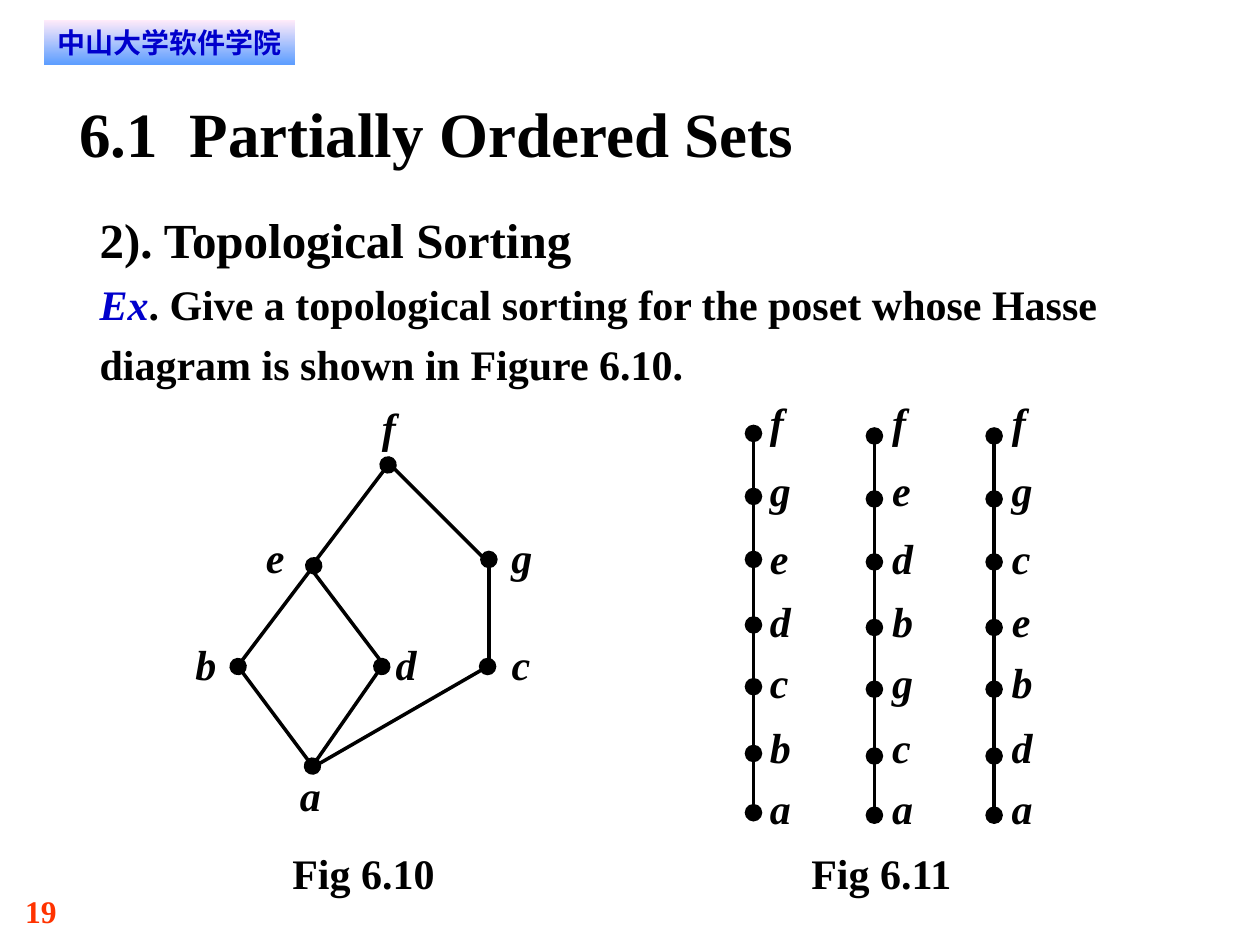
from lxml.etree import SubElement
from pptx import Presentation
from pptx.dml.color import RGBColor
from pptx.enum.shapes import MSO_CONNECTOR, MSO_SHAPE
from pptx.enum.text import MSO_ANCHOR, MSO_AUTO_SIZE, PP_ALIGN
from pptx.oxml.ns import qn
from pptx.util import Pt

PX = 9144
BLACK = RGBColor(0x00, 0x00, 0x00)
BLUE = RGBColor(0x00, 0x00, 0xCC)
RED = RGBColor(0xFF, 0x33, 0x00)
PALE_PINK = RGBColor(0xFF, 0xEB, 0xFA)
SKY_BLUE = RGBColor(0x5E, 0x9E, 0xFF)
SERIF = "Times New Roman"
SANS = "DejaVu Sans"

LETTER_WIDTHS = {"f": 11, "c": 15, "e": 15}
HASSE_LABELS = [
    ("b", 0, 188), ("a", 83, 292), ("d", 159, 188), ("c", 251, 188),
    ("g", 251, 103), ("e", 56, 103), ("f", 148, 0),
]
HASSE_EDGES = [
    ((90, 130), (149, 208), False, False),
    ((153, 50), (94, 128), True, False),
    ((34, 210), (93, 289), True, True),
    ((232, 210), (95, 289), True, False),
    ((155, 50), (230, 125), False, False),
    ((94, 130), (35, 208), True, False),
    ((148, 210), (93, 289), True, False),
    ((233, 125), (233, 204), True, False),
]
CHAINS = [("fgedcba", 0, 29, 13), ("fedbgca", 96, 31, 14), ("fgcebda", 191, 31, 14)]
CHAIN_LABEL_TOPS = [0, 54, 108, 158, 206, 258, 306]
CHAIN_NODE_TOPS = [0, 50, 100, 152, 201, 254]
CHAIN_EDGE_LENGTH = 47


def place(shape, left, top, width, height):
    shape.left, shape.top = left * PX, top * PX
    shape.width, shape.height = width * PX, height * PX


def prepare_frame(shape, side=0, edge=0):
    frame = shape.text_frame
    frame.word_wrap = True
    frame.auto_size = MSO_AUTO_SIZE.NONE
    frame.vertical_anchor = MSO_ANCHOR.TOP
    frame.margin_left = frame.margin_right = side * PX
    frame.margin_top = frame.margin_bottom = edge * PX
    return frame


def add_run(paragraph, text, size, color=BLACK, italic=False, font_name=SERIF):
    run = paragraph.add_run()
    run.text = text
    run.font.name = font_name
    run.font.size = Pt(size)
    run.font.bold = True
    run.font.italic = italic
    run.font.color.rgb = color
    return run


def add_label(shapes, text, left, top, width, height, size=24, color=BLACK,
              italic=False, align=PP_ALIGN.LEFT):
    box = shapes.add_textbox(left * PX, top * PX, width * PX, height * PX)
    paragraph = prepare_frame(box).paragraphs[0]
    paragraph.alignment = align
    add_run(paragraph, text, size, color, italic)


def add_letter(shapes, letter, left, top):
    add_label(shapes, letter, left, top, LETTER_WIDTHS.get(letter, 17), 40, italic=True)


def add_edge(shapes, start, end, start_dot, end_dot):
    connector = shapes.add_connector(
        MSO_CONNECTOR.STRAIGHT, *(value * PX for value in (*start, *end)))
    connector.line.color.rgb = BLACK
    connector.line.width = Pt(2)
    line = connector.line._get_or_add_ln()
    for tag, dotted in (("a:headEnd", start_dot), ("a:tailEnd", end_dot)):
        if dotted:
            SubElement(line, qn(tag), type="oval", w="lg", len="lg")
    SubElement(connector._element.spPr, qn("a:effectLst"))


def add_school_banner(slide, left, top, width, height):
    banner = slide.shapes.add_shape(
        MSO_SHAPE.RECTANGLE, left * PX, top * PX, width * PX, height * PX)
    banner.shadow.inherit = False
    banner.line.fill.background()
    banner.fill.gradient()
    banner.fill.gradient_angle = 270
    for stop, color, position in zip(
            banner.fill.gradient_stops, (PALE_PINK, SKY_BLUE), (0, 1)):
        stop.color.rgb = color
        stop.position = position
    paragraph = prepare_frame(banner, 8, 4).paragraphs[0]
    paragraph.alignment = PP_ALIGN.CENTER
    run = add_run(paragraph, "中山大学软件学院", 16, BLUE, font_name=SANS)
    SubElement(run.font._element, qn("a:ea"), typeface=SANS)


def fill_title(slide, left, top, width, height):
    title = slide.shapes.title
    place(title, left, top, width, height)
    paragraph = prepare_frame(title).paragraphs[0]
    paragraph.alignment = PP_ALIGN.LEFT
    add_run(paragraph, "6.1  Partially Ordered Sets", 36)


def fill_body(slide, left, top, width, height):
    body = slide.placeholders[1]
    place(body, left, top, width, height)
    frame = prepare_frame(body)
    heading, exercise = frame.paragraphs[0], frame.add_paragraph()
    for paragraph in (heading, exercise):
        properties = paragraph._p.get_or_add_pPr()
        properties.set("marL", "0")
        properties.set("indent", "0")
        SubElement(properties, qn("a:buNone"))
        paragraph.line_spacing = 1.2
        paragraph.space_before = Pt(0)
    add_run(heading, "2). Topological Sorting", 28)
    add_run(exercise, "Ex", 24, BLUE, italic=True)
    add_run(exercise, ". Give a topological sorting for the poset whose Hasse "
                      "diagram is shown in Figure 6.10.", 24)


def add_hasse_diagram(slide, left, top):
    shapes = slide.shapes.add_group_shape().shapes
    for (start_x, start_y), (end_x, end_y), start_dot, end_dot in HASSE_EDGES:
        add_edge(shapes, (left + start_x, top + start_y),
                 (left + end_x, top + end_y), start_dot, end_dot)
    for letter, x, y in HASSE_LABELS:
        add_letter(shapes, letter, left + x, top + y)


def add_sorted_chains(slide, left, top):
    for letters, x, first_node, label_gap in CHAINS:
        for letter, y in zip(letters, CHAIN_LABEL_TOPS):
            add_letter(slide.shapes, letter, left + x + label_gap, top + y)
        for y in CHAIN_NODE_TOPS:
            node_top = top + first_node + y
            add_edge(slide.shapes, (left + x, node_top + CHAIN_EDGE_LENGTH),
                     (left + x, node_top), y == CHAIN_NODE_TOPS[-1], True)


def main():
    presentation = Presentation()
    presentation.slide_width, presentation.slide_height = 1000 * PX, 750 * PX
    slide = presentation.slides.add_slide(presentation.slide_layouts[1])
    add_label(slide.shapes, "19", 20, 708, 75, 30, size=18, color=RED)
    add_school_banner(slide, 35, 16, 199, 35)
    fill_title(slide, 63, 75, 875, 60)
    fill_body(slide, 79, 157, 876, 152)
    add_hasse_diagram(slide, 155, 319)
    add_sorted_chains(slide, 598, 315)
    for caption, left in (("Fig 6.10", 232), ("Fig 6.11", 643)):
        add_label(slide.shapes, caption, left, 673, 113, 80, align=PP_ALIGN.CENTER)
    presentation.save("out.pptx")


if __name__ == "__main__":
    main()
